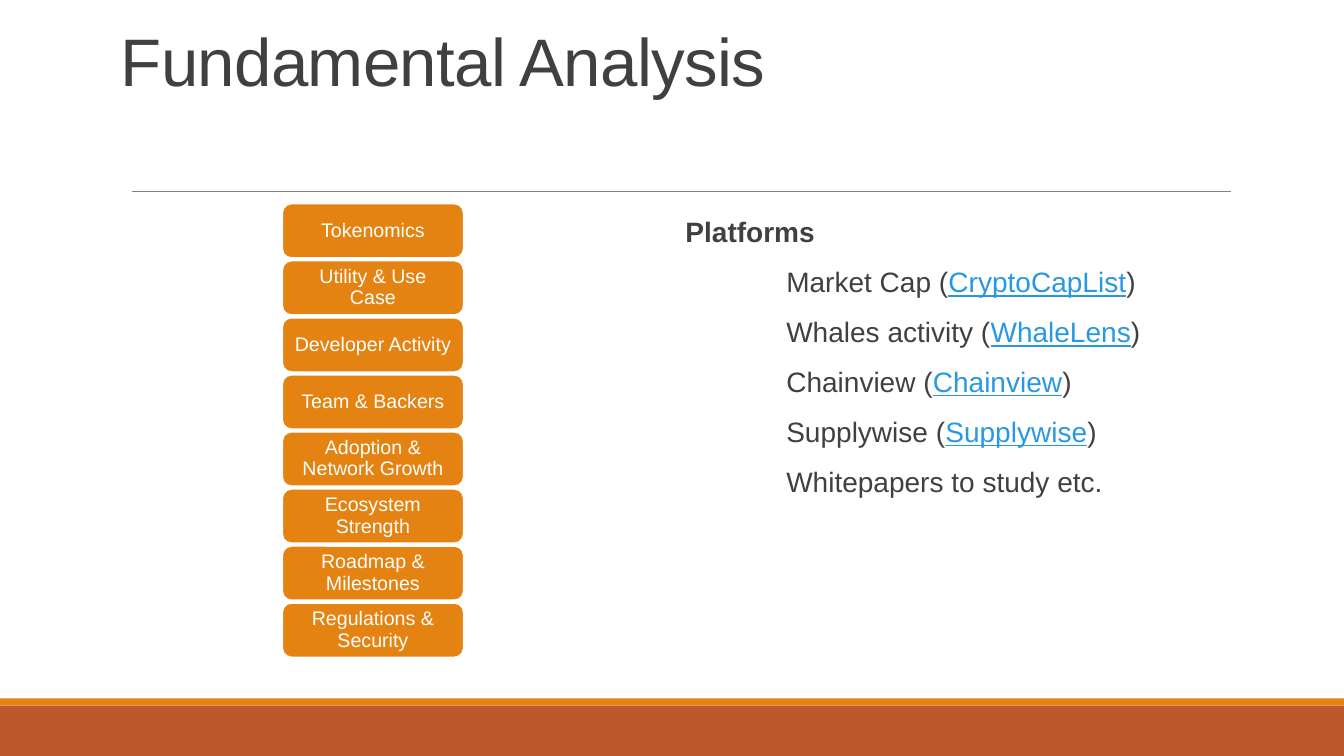
from dataclasses import dataclass
from lxml.etree import SubElement
from pptx import Presentation
from pptx.dml.color import RGBColor
from pptx.enum.shapes import MSO_CONNECTOR, MSO_SHAPE
from pptx.enum.text import MSO_ANCHOR, MSO_AUTO_SIZE, PP_ALIGN
from pptx.oxml.ns import qn
from pptx.util import Inches, Pt


@dataclass(frozen=True)
class Theme:
    font: str = "Arial"
    ink: str = "404040"
    rule: str = "808080"
    link: str = "2998E3"
    white: str = "FFFFFF"
    amber: str = "E48312"
    rust: str = "BD582C"
    title: int = 48
    body: int = 20
    chip: int = 14


THEME = Theme()
WIDTH, HEIGHT = Inches(13.33), Inches(7.5)
COL, ROW = WIDTH / 100, HEIGHT / 75

FACTORS = [
    "Tokenomics",
    "Utility & Use Case",
    "Developer Activity",
    "Team & Backers",
    "Adoption & Network Growth",
    "Ecosystem Strength",
    "Roadmap & Milestones",
    "Regulations & Security",
]
TOOLS = [
    ("Market Cap", "CryptoCapList"),
    ("Whales activity", "WhaleLens"),
    ("Chainview", "Chainview"),
    ("Supplywise", "Supplywise"),
]


def area(x, y, w, h):
    return int(x * COL), int(y * ROW), int(w * COL), int(h * ROW)


def color(name):
    return RGBColor.from_string(name)


def style(par, size, tone, lead=0.9):
    par.line_spacing = lead
    par.font.name = THEME.font
    par.font.size = Pt(size)
    par.font.color.rgb = color(tone)


def place(holder, box, pad):
    holder.left, holder.top, holder.width, holder.height = box
    frame = holder.text_frame
    frame.word_wrap = True
    frame.auto_size = MSO_AUTO_SIZE.NONE
    frame.vertical_anchor = MSO_ANCHOR.TOP
    frame.margin_left = frame.margin_right = 0
    frame.margin_top = frame.margin_bottom = Inches(pad)
    return frame


def block(slide, kind, box, fill):
    shape = slide.shapes.add_shape(kind, *box)
    shape.shadow.inherit = False
    shape.fill.solid()
    shape.fill.fore_color.rgb = color(fill)
    shape.line.fill.background()
    return shape


def rule(slide, x, end, y):
    left, top, width, _ = area(x, y, end - x, 0)
    line = slide.shapes.add_connector(
        MSO_CONNECTOR.STRAIGHT, left, top, left + width, top)
    line.line.color.rgb = color(THEME.rule)
    line.line.width = Pt(0.5)
    SubElement(line._element.spPr, qn("a:effectLst"))


def chip(slide, text, box):
    shape = block(slide, MSO_SHAPE.ROUNDED_RECTANGLE, box, THEME.amber)
    shape.line.color.rgb = color(THEME.white)
    shape.line.width = Pt(1.25)
    frame = shape.text_frame
    frame.word_wrap = True
    frame.vertical_anchor = MSO_ANCHOR.MIDDLE
    frame.margin_left = frame.margin_right = Inches(0.09)
    frame.margin_top = frame.margin_bottom = Inches(0.05)
    par = frame.paragraphs[0]
    par.text = text
    par.alignment = PP_ALIGN.CENTER
    style(par, THEME.chip, THEME.white)


def head(slide, text):
    frame = place(slide.shapes.title, area(9, 3.1, 82.5, 15.9), 0)
    par = frame.paragraphs[0]
    par.text = text
    par.alignment = PP_ALIGN.LEFT
    style(par, THEME.title, THEME.ink, 0.85)
    par.runs[0].font._element.set("spc", "-50")


def entry(par, text, indent, name=None):
    props = par._p.get_or_add_pPr()
    props.set("marL", str(Inches(indent)))
    props.set("indent", "0")
    SubElement(props, qn("a:buNone"))
    par.space_before = Pt(12 if indent else 0)
    par.space_after = Pt(2)
    style(par, THEME.body, THEME.ink)
    if not name:
        par.add_run().text = text
        return
    par.add_run().text = f"{text} ("
    mark = par.add_run()
    mark.text = name
    mark.font.underline = True
    mark.font.color.rgb = color(THEME.link)
    par.add_run().text = ")"


def tools(slide):
    frame = place(slide.placeholders[1], area(51, 21.2, 40.5, 43.9), 0.05)
    first = frame.paragraphs[0]
    entry(first, "Platforms", 0)
    first.font.bold = True
    for text, name in TOOLS + [("Whitepapers to study etc.", None)]:
        entry(frame.add_paragraph(), text, 1, name)


def main():
    deck = Presentation()
    deck.slide_width, deck.slide_height = WIDTH, HEIGHT
    slide = deck.slides.add_slide(deck.slide_layouts[1])
    block(slide, MSO_SHAPE.RECTANGLE, area(0, 70, 100, 5), THEME.rust)
    block(slide, MSO_SHAPE.RECTANGLE, area(0, 69.3, 100, 0.7), THEME.amber)
    rule(slide, 9.83, 91.58, 19)
    head(slide, "Fundamental Analysis")
    tools(slide)
    for row, text in enumerate(FACTORS):
        chip(slide, text, area(21, 20.2 + 5.66 * row, 13.5, 5.4))
    deck.save("out.pptx")


if __name__ == "__main__":
    main()
